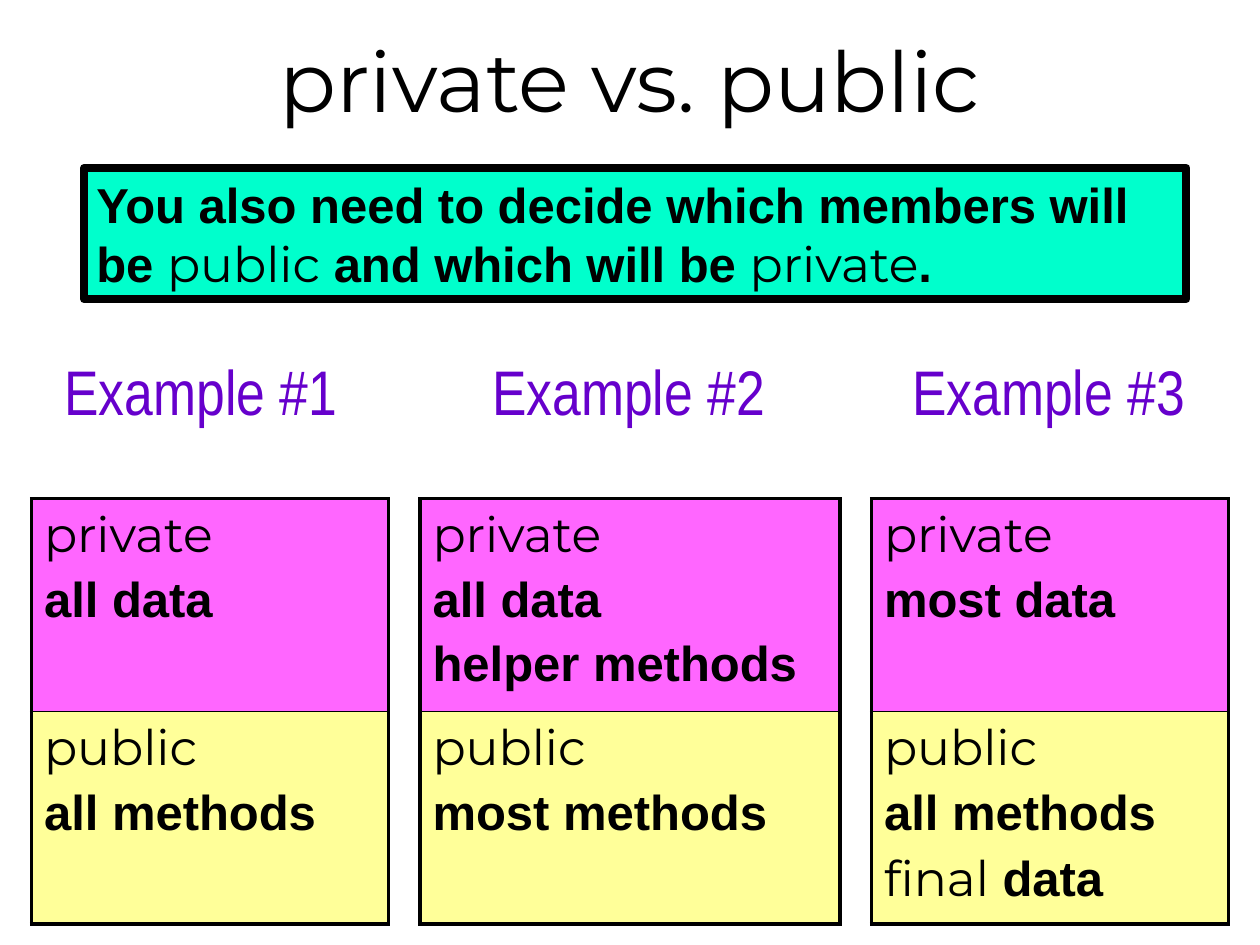
from lxml import etree
from pptx import Presentation
from pptx import util as u
from pptx.dml.color import RGBColor
from pptx.enum import shapes, text
from pptx.oxml.ns import qn

PX = u.Inches(1) // 96
COLORS = {"ink": "000000", "banner": "00FFCC", "private": "FF66FF",
          "public": "FFFF99", "example": "6600CC"}


def rgb(name):
    return RGBColor.from_string(COLORS[name])


def write(frame, lines, size=28, font="Arial", bold=True, color="ink",
          align=text.PP_ALIGN.LEFT, gap=5):
    """Write one paragraph per line; words between backticks are keywords."""
    for number, line in enumerate(lines):
        paragraph = frame.add_paragraph() if number else frame.paragraphs[0]
        paragraph.alignment = align
        paragraph.space_before = u.Pt(gap if number else 0)
        for part, words in enumerate(line.split("`")):
            if not words:
                continue
            keyword = part % 2 == 1
            run = paragraph.add_run()
            run.text = words
            run.font.size = u.Pt(size)
            run.font.name = "Montserrat" if keyword else font
            run.font.bold = bold and not keyword
            run.font.color.rgb = rgb(color)


prs = Presentation()
prs.slide_width, prs.slide_height = 960 * PX, 720 * PX
slide = prs.slides.add_slide(prs.slide_layouts[5])

# Title
title = slide.shapes.title
title.left, title.top, title.width, title.height = 0, 0, 960 * PX, 120 * PX
title.text_frame.vertical_anchor = text.MSO_ANCHOR.MIDDLE
write(title.text_frame, ["private vs. public"], size=48, font="Montserrat",
      bold=False, align=text.PP_ALIGN.CENTER)

# Banner
banner = slide.shapes.add_shape(shapes.MSO_SHAPE.RECTANGLE,
                                64 * PX, 128 * PX, 840 * PX, 100 * PX)
banner.shadow.inherit = False
banner.fill.solid()
banner.fill.fore_color.rgb = rgb("banner")
banner.line.color.rgb = rgb("ink")
banner.line.width = u.Pt(4.5)
banner.text_frame.word_wrap = True
banner.text_frame.vertical_anchor = text.MSO_ANCHOR.TOP
write(banner.text_frame, ["You also need to decide which members will be "
                          "`public` and which will be `private`."])

# Examples: heading left, table left, table width, private lines, public lines
examples = [
    (24, 24, 272, ["all data"], ["all methods"]),
    (350, 320, 320, ["all data", "helper methods"], ["most methods"]),
    (670, 664, 272, ["most data"], ["all methods", "`final` data"]),
]
for number, (heading_left, left, width, private, public) in enumerate(examples, 1):
    # Access table
    access = slide.shapes.add_table(2, 1, left * PX, 380 * PX,
                                    width * PX, 324 * PX).table
    access.first_row = access.horz_banding = False
    for row, (keyword, members) in enumerate([("private", private),
                                              ("public", public)]):
        access.rows[row].height = 162 * PX
        cell = access.cell(row, 0)
        write(cell.text_frame, [f"`{keyword}`"] + members)
        inner_side = "B" if row == 0 else "T"
        properties = cell._tc.get_or_add_tcPr()
        for side in "LRTB":
            points = 1 if side == inner_side else 2.25
            border = etree.SubElement(properties, qn(f"a:ln{side}"), w=str(u.Pt(points)))
            paint = etree.SubElement(border, qn("a:solidFill"))
            etree.SubElement(paint, qn("a:srgbClr"), val=COLORS["ink"])
        cell.fill.solid()
        cell.fill.fore_color.rgb = rgb(keyword)

    # Heading
    heading = slide.shapes.add_textbox(heading_left * PX, 264 * PX, 258 * PX, 99 * PX)
    heading.text_frame.word_wrap = False
    write(heading.text_frame, [f"Example #{number}"], size=36, font="Arial Narrow",
          bold=False, color="example", align=text.PP_ALIGN.CENTER)

prs.save("out.pptx")
